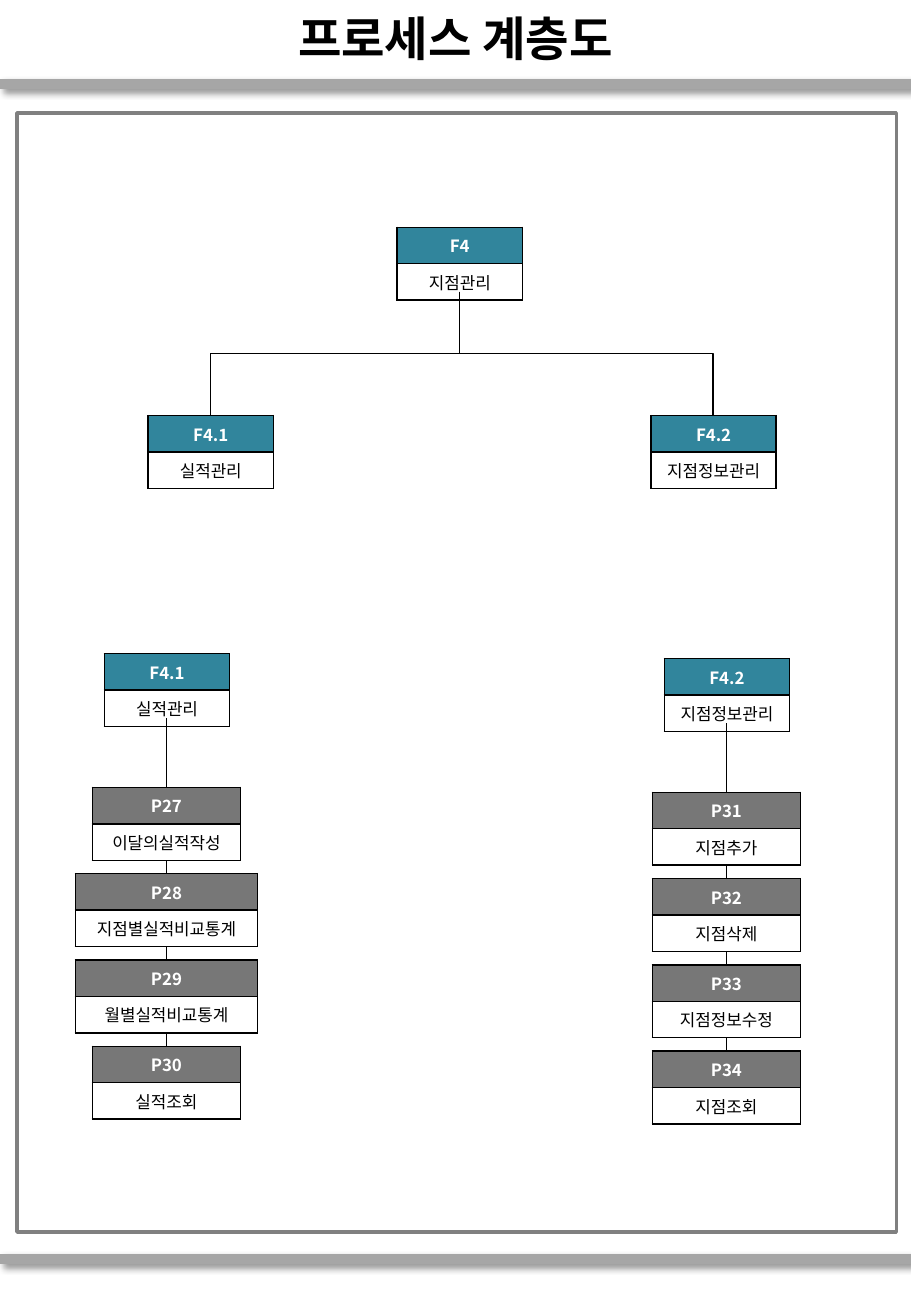
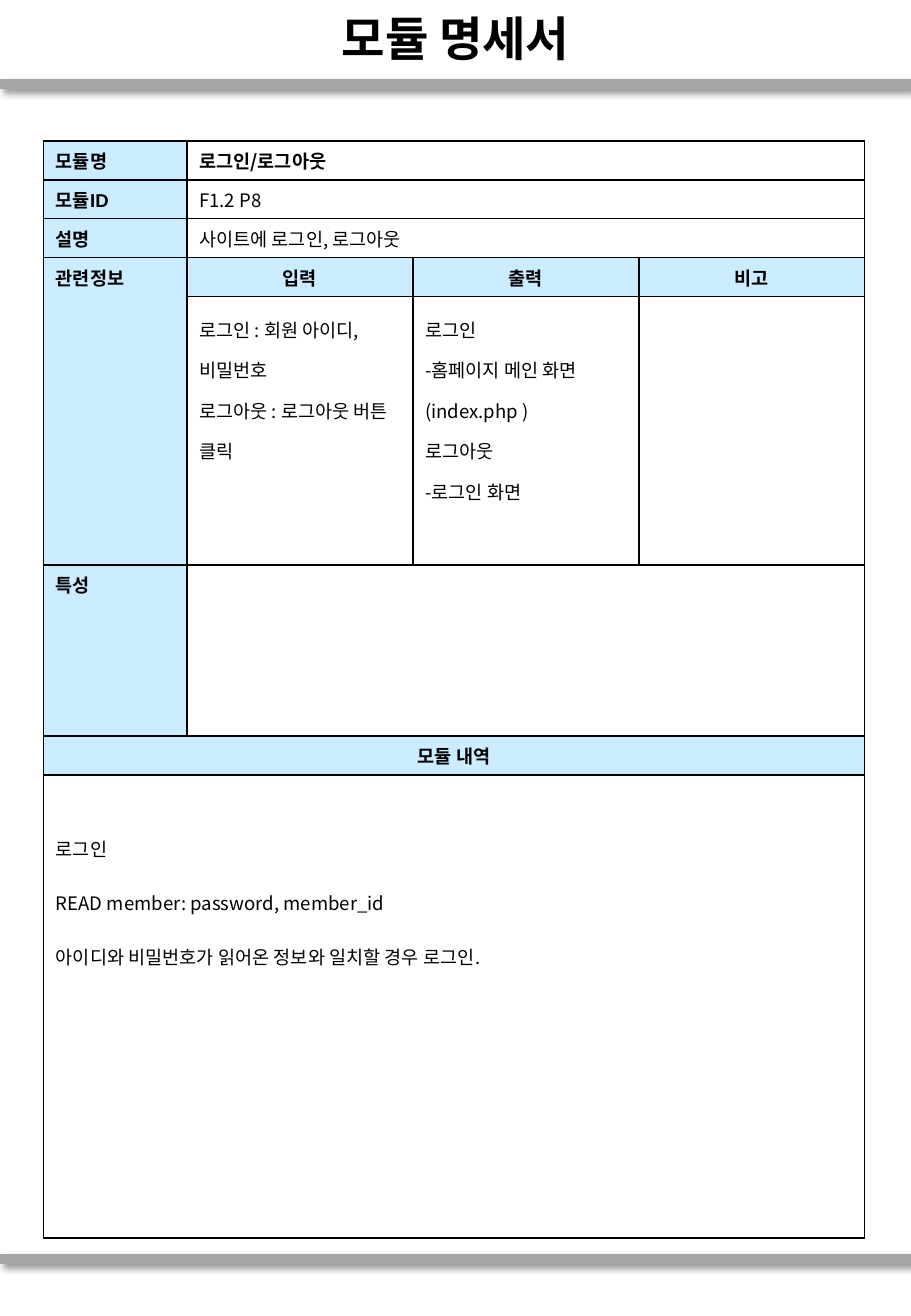
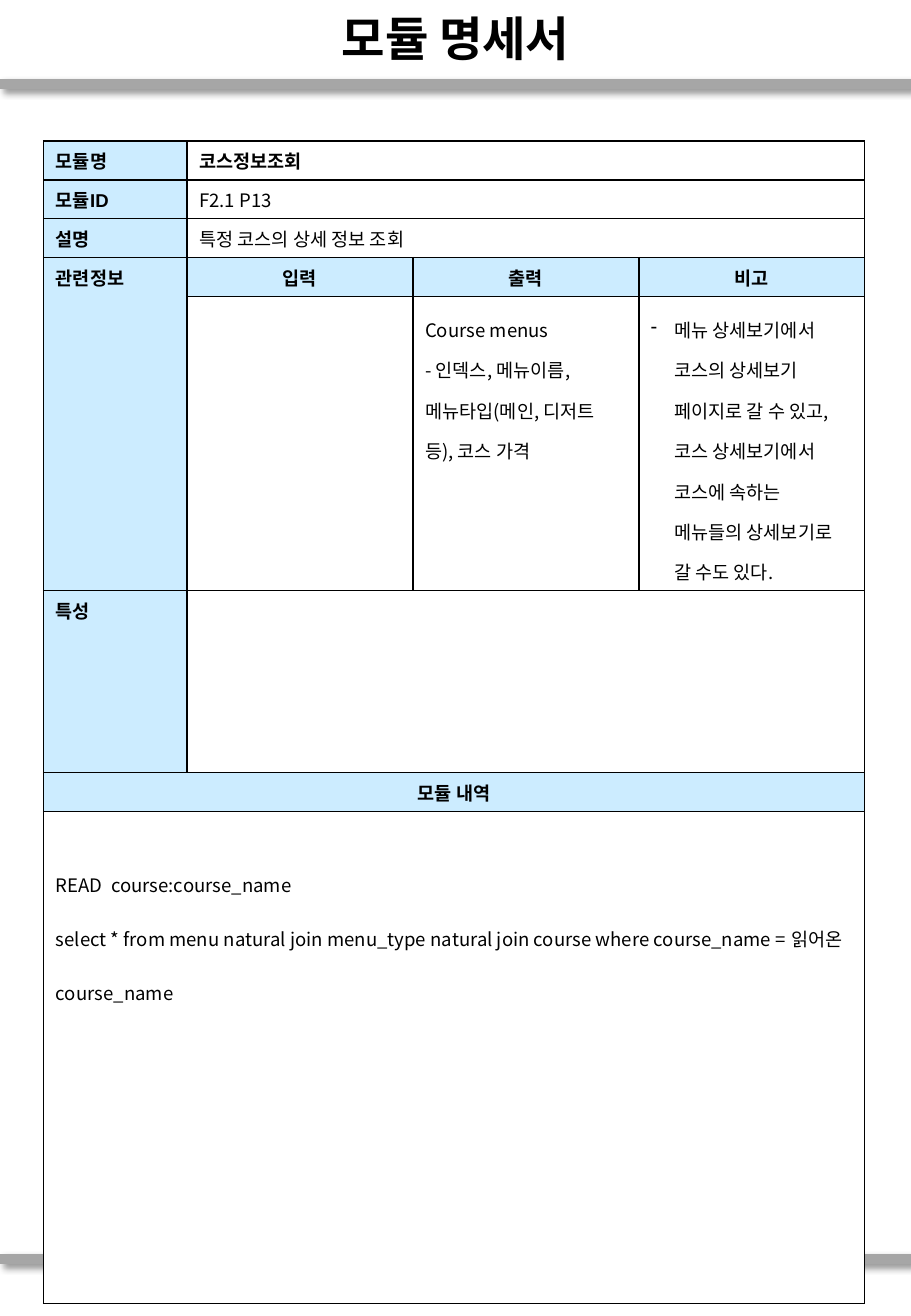
from lxml import etree
from pptx import Presentation
from pptx.dml.color import RGBColor
from pptx.enum.shapes import MSO_CONNECTOR, MSO_SHAPE
from pptx.enum.text import MSO_ANCHOR, PP_ALIGN
from pptx.oxml.ns import qn
from pptx.util import Pt

PX = 9144  # 100 px to the inch
SLIDE_WIDTH, SLIDE_HEIGHT = 750, 1083
COLORS = {
    "black": "000000",
    "white": "FFFFFF",
    "band": "A6A6A6",
    "frame": "808080",
    "function": "31859C",
    "process": "777777",
    "label": "CCECFF",
}
KOREAN, LATIN = "Noto Sans CJK KR", "Arial"

# Hierarchy measures
FUNCTION_WIDTH, PROCESS_WIDTH, WIDE_WIDTH = 103, 122, 150
BOX_ROW = 30
LINE_OFFSET = 53
FIRST_PROCESS_OFFSET, PROCESS_STEP = 110, 71

# Module table measures
MODULE_COLUMNS = (118, 186, 186, 186)
LABEL_ROW = 32


def px(length):
    return int(length * PX)


def rgb(name):
    return RGBColor.from_string(COLORS[name])


def sub(parent, tag, **attributes):
    element = etree.SubElement(parent, qn(tag))
    for name, value in attributes.items():
        element.set(name, str(value))
    return element


# Text and cells
def format_paragraph(paragraph, size, color="black", bold=False, font=KOREAN,
                     align=PP_ALIGN.LEFT, spacing=None):
    paragraph.alignment = align
    if spacing:
        paragraph.line_spacing = spacing
    for run in paragraph.runs:
        run.font.name = font
        sub(run._r.get_or_add_rPr(), "a:ea", typeface=KOREAN)
        run.font.size = Pt(size)
        run.font.bold = bold
        run.font.color.rgb = rgb(color)


def add_dash(paragraph, indent):
    properties = paragraph._p.get_or_add_pPr()
    properties.set("marL", str(px(indent)))
    properties.set("indent", str(-px(indent)))
    sub(properties, "a:buChar", char="-")


def style_cell(cell, fill):
    properties = cell._tc.get_or_add_tcPr()
    for side in ("a:lnL", "a:lnR", "a:lnT", "a:lnB"):
        border = sub(properties, side, w=Pt(1))
        sub(sub(border, "a:solidFill"), "a:srgbClr", val=COLORS["black"])
    cell.fill.solid()
    cell.fill.fore_color.rgb = rgb(fill)


def fill_cell(cell, lines, dashed=False, **style):
    cell.text_frame.text = "\n".join(lines)
    for paragraph in cell.text_frame.paragraphs:
        if dashed:
            add_dash(paragraph, 19)
        format_paragraph(paragraph, **style)


def add_grid(slide, left, top, columns, rows):
    frame = slide.shapes.add_table(len(rows), len(columns), px(left), px(top),
                                   px(sum(columns)), px(sum(rows)))
    table = frame.table
    table.first_row = table.horz_banding = False
    for column, width in zip(table.columns, columns):
        column.width = px(width)
    for row, height in zip(table.rows, rows):
        row.height = px(height)
    return table


# Lines
def add_line(slide, start, end, color="black", width=0.75, kind=MSO_CONNECTOR.STRAIGHT):
    connector = slide.shapes.add_connector(kind, px(start[0]), px(start[1]),
                                           px(end[0]), px(end[1]))
    connector.line.color.rgb = rgb(color)
    connector.line.width = Pt(width)
    effects = sub(connector._element.spPr, "a:effectLst")
    return connector, effects


def add_elbow_down(slide, start, end):
    """Elbow that leaves start downwards: a level elbow turned by a quarter."""
    run, drop = end[0] - start[0], end[1] - start[1]
    middle_x, middle_y = (start[0] + end[0]) / 2, (start[1] + end[1]) / 2
    half_x, half_y = drop / 2, abs(run) / 2
    side = 1 if run > 0 else -1
    connector, _ = add_line(slide, (middle_x + side * half_x, middle_y - half_y),
                            (middle_x - side * half_x, middle_y + half_y),
                            kind=MSO_CONNECTOR.ELBOW)
    angle = 270 if run > 0 else 90
    connector._element.spPr.find(qn("a:xfrm")).set("rot", str(angle * 60000))


# Shared slide parts
def add_band(slide, y):
    _, effects = add_line(slide, (0, y), (SLIDE_WIDTH, y), "band", 6)
    shadow = sub(effects, "a:outerShdw", blurRad=Pt(4), dist=Pt(3), dir=45 * 60000,
                 algn="tl", rotWithShape=0)
    sub(sub(shadow, "a:srgbClr", val=COLORS["black"]), "a:alpha", val=40000)


def add_base_slide(presentation, title):
    slide = presentation.slides.add_slide(presentation.slide_layouts[6])
    for y in (69, 1036):
        add_band(slide, y)
    box = slide.shapes.add_textbox(0, px(1), px(SLIDE_WIDTH), px(60))
    text_frame = box.text_frame
    text_frame.word_wrap = True
    text_frame.vertical_anchor = MSO_ANCHOR.MIDDLE
    text_frame.text = title
    format_paragraph(text_frame.paragraphs[0], 28, bold=True, align=PP_ALIGN.CENTER)
    return slide


# Process hierarchy
def add_box(slide, center, top, code, name, width=FUNCTION_WIDTH, color="function"):
    table = add_grid(slide, center - width // 2, top, [width], [BOX_ROW] * 2)
    parts = ((code, color, "white", True), (name, "white", "black", False))
    for row, (text, fill, font_color, bold) in enumerate(parts):
        cell = table.cell(row, 0)
        style_cell(cell, fill)
        fill_cell(cell, [text], size=10, color=font_color, bold=bold,
                  align=PP_ALIGN.CENTER)


def add_process_chain(slide, center, top, function, processes):
    add_box(slide, center, top, *function)
    first = top + FIRST_PROCESS_OFFSET
    last = first + PROCESS_STEP * (len(processes) - 1)
    add_line(slide, (center, top + LINE_OFFSET), (center, last))
    for index, (code, name, width) in enumerate(processes):
        add_box(slide, center, first + index * PROCESS_STEP, code, name, width, "process")


def add_hierarchy_slide(presentation):
    slide = add_base_slide(presentation, "프로세스 계층도")
    frame = slide.shapes.add_shape(MSO_SHAPE.RECTANGLE, px(14), px(93), px(724), px(921))
    frame.shadow.inherit = False
    frame.fill.solid()
    frame.fill.fore_color.rgb = rgb("white")
    frame.line.color.rgb = rgb("frame")
    frame.line.width = Pt(2)

    # Function tree
    results, branch = ("F4.1", "실적관리"), ("F4.2", "지점정보관리")
    root_center, root_top, child_top = 378, 187, 342
    add_box(slide, root_center, root_top, "F4", "지점관리")
    for center, function in ((173, results), (587, branch)):
        add_box(slide, center, child_top, *function)
        add_elbow_down(slide, (root_center, root_top + LINE_OFFSET), (center, child_top))

    # Processes of each function
    add_process_chain(slide, 137, 538, results, (
        ("P27", "이달의실적작성", PROCESS_WIDTH),
        ("P28", "지점별실적비교통계", WIDE_WIDTH),
        ("P29", "월별실적비교통계", WIDE_WIDTH),
        ("P30", "실적조회", PROCESS_WIDTH),
    ))
    add_process_chain(slide, 598, 542, branch, (
        ("P31", "지점추가", PROCESS_WIDTH),
        ("P32", "지점삭제", PROCESS_WIDTH),
        ("P33", "지점정보수정", PROCESS_WIDTH),
        ("P34", "지점조회", PROCESS_WIDTH),
    ))


# Module specification
def add_module_slide(presentation, module):
    slide = add_base_slide(presentation, "모듈 명세서")
    related_height, trait_height, detail_height = module["heights"]
    rows = [LABEL_ROW] * 4 + [related_height, trait_height, LABEL_ROW, detail_height]
    table = add_grid(slide, 36, 116, MODULE_COLUMNS, rows)

    # Fills and merges
    for row in range(len(rows)):
        for column in range(len(MODULE_COLUMNS)):
            is_label = row in (3, 6) or (column == 0 and row < 6)
            style_cell(table.cell(row, column), "label" if is_label else "white")
    for row in (0, 1, 2, 5):
        table.cell(row, 1).merge(table.cell(row, 3))
    for row in (6, 7):
        table.cell(row, 0).merge(table.cell(row, 3))
    table.cell(3, 0).merge(table.cell(4, 0))

    # Labels
    label = {"size": 11, "bold": True, "font": LATIN}
    for row, text in enumerate(("모듈명", "모듈ID", "설명", "관련정보")):
        fill_cell(table.cell(row, 0), [text], **label)
    fill_cell(table.cell(5, 0), ["특성"], **label)
    for column, text in enumerate(("입력", "출력", "비고"), 1):
        fill_cell(table.cell(3, column), [text], align=PP_ALIGN.CENTER, **label)
    fill_cell(table.cell(6, 0), ["모듈 내역"], align=PP_ALIGN.CENTER, **label)

    # Values
    for row, key in enumerate(("name", "id", "description")):
        fill_cell(table.cell(row, 1), [module[key]], size=11, bold=key == "name")
    for column, key in enumerate(("input", "output", "remark"), 1):
        if module[key]:
            fill_cell(table.cell(4, column), module[key], dashed=key == "remark",
                      size=11, spacing=1.5)
    detail = table.cell(7, 0)
    detail.margin_top = px(27)
    fill_cell(detail, module["detail"], size=11, spacing=2.0)


MODULES = (
    {
        "name": "로그인/로그아웃",
        "id": "F1.2 P8",
        "description": "사이트에 로그인, 로그아웃",
        "input": ["로그인 : 회원 아이디, 비밀번호", "로그아웃 : 로그아웃 버튼 클릭"],
        "output": ["로그인", "-홈페이지 메인 화면 (index.php )", "로그아웃", "-로그인 화면"],
        "remark": [],
        "detail": [
            "로그인",
            "READ member: password, member_id",
            "아이디와 비밀번호가 읽어온 정보와 일치할 경우 로그인.",
        ],
        "heights": (221, 141, 381),
    },
    {
        "name": "코스정보조회",
        "id": "F2.1 P13",
        "description": "특정 코스의 상세 정보 조회",
        "input": [],
        "output": ["Course menus", "- 인덱스, 메뉴이름, 메뉴타입(메인, 디저트 등), 코스 가격"],
        "remark": ["메뉴 상세보기에서 코스의 상세보기 페이지로 갈 수 있고, "
                   "코스 상세보기에서 코스에 속하는 메뉴들의 상세보기로 갈 수도 있다."],
        "detail": [
            "READ  course:course_name",
            "select * from menu natural join menu_type natural join course "
            "where course_name = 읽어온 course_name",
        ],
        "heights": (242, 150, 405),
    },
)


def main():
    presentation = Presentation()
    presentation.slide_width = px(SLIDE_WIDTH)
    presentation.slide_height = px(SLIDE_HEIGHT)
    add_hierarchy_slide(presentation)
    for module in MODULES:
        add_module_slide(presentation, module)
    presentation.save("out.pptx")


if __name__ == "__main__":
    main()
